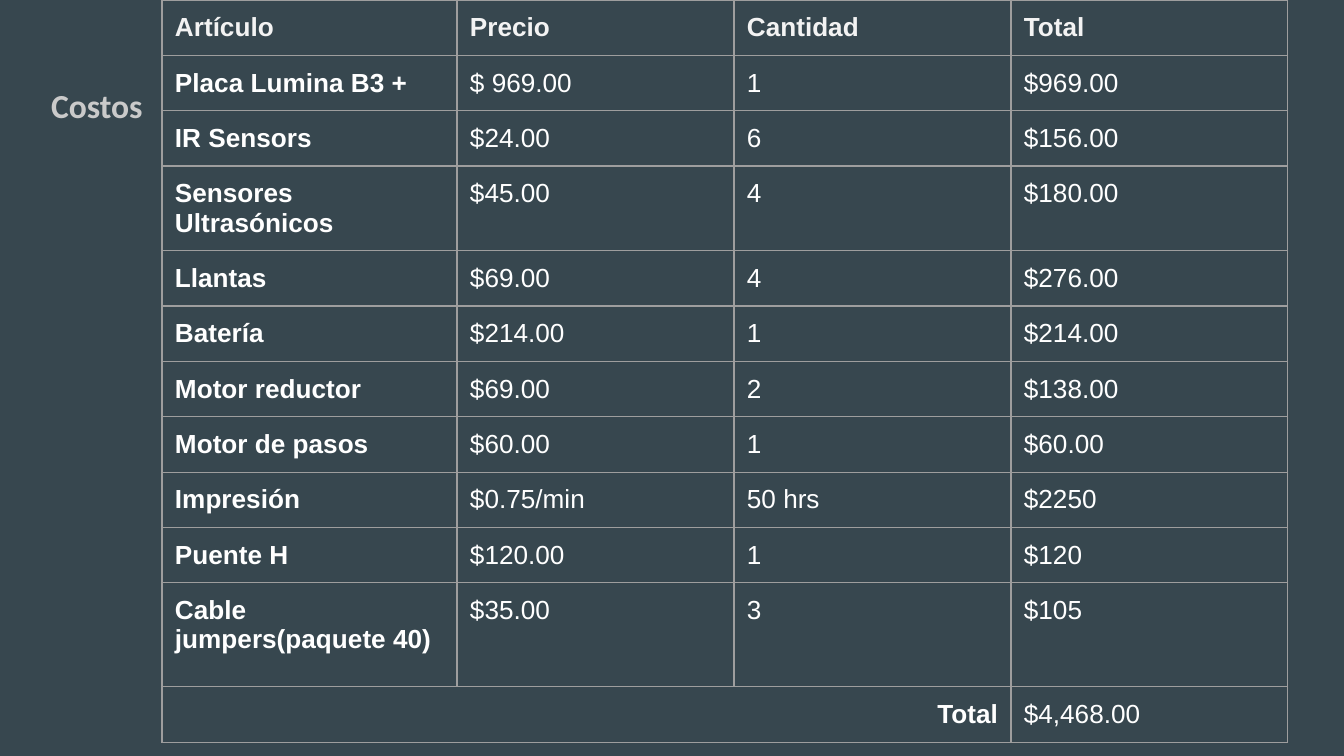
from lxml import etree
from pptx import Presentation
from pptx.dml.color import RGBColor
from pptx.enum.text import MSO_ANCHOR, MSO_AUTO_SIZE, PP_ALIGN
from pptx.oxml.ns import qn
from pptx.util import Emu, Pt

LEFT, RIGHT = PP_ALIGN.LEFT, PP_ALIGN.RIGHT
TOP = MSO_ANCHOR.TOP
NO_AUTOFIT = MSO_AUTO_SIZE.NONE
TITLE_AND_CONTENT = 1
EMU_PER_PX = 914400 / 134.4
INSET = 13
BORDER = "9E9E9E"

HEADER = ("Artículo", "Precio", "Cantidad", "Total")
ITEMS = [
    ("Placa Lumina B3 +", "$ 969.00", "1", "$969.00"),
    ("IR Sensors", "$24.00", "6", "$156.00"),
    ("Sensores Ultrasónicos", "$45.00", "4", "$180.00"),
    ("Llantas", "$69.00", "4", "$276.00"),
    ("Batería", "$214.00", "1", "$214.00"),
    ("Motor reductor", "$69.00", "2", "$138.00"),
    ("Motor de pasos", "$60.00", "1", "$60.00"),
    ("Impresión", "$0.75/min", "50 hrs", "$2250"),
    ("Puente H", "$120.00", "1", "$120"),
    ("Cable jumpers(paquete 40)", "$35.00", "3", "$105"),
]
GRAND_TOTAL = ("Total", "", "", "$4,468.00")
COLUMN_WIDTHS = (295, 277, 277, 277)
ROW_HEIGHTS = (50, 52, 50, 76, 50, 50, 50, 50, 50, 50, 104, 44)


def px(length):
    return Emu(round(length * EMU_PER_PX))


def color(value):
    return RGBColor.from_string(value)


def set_values(target, values):
    for name, value in values.items():
        setattr(target, name, value)


def write_text(para, text, font_color, font_values, para_values):
    set_values(para, para_values)
    span = para.add_run()
    span.text = text
    set_values(span.font, font_values)
    span.font.color.rgb = color(font_color)


def insets():
    sides = ("left", "right", "top", "bottom")
    return {f"margin_{side}": px(INSET) for side in sides}


def add_heading(page, text):
    page.shapes.title.element.getparent().remove(page.shapes.title.element)
    box = page.placeholders[1]
    set_values(box, {"left": px(38), "top": px(66),
                     "width": px(1270), "height": px(624)})
    frame = box.text_frame
    set_values(frame, insets() | {"word_wrap": True, "auto_size": NO_AUTOFIT,
                                  "vertical_anchor": TOP})
    para = frame.paragraphs[0]
    properties = para._p.get_or_add_pPr()
    properties.set("marL", "0")
    properties.set("indent", "0")
    etree.SubElement(properties, qn("a:buNone"))
    write_text(para, text, "CACACA",
               {"name": "Calibri", "size": Pt(18), "bold": True},
               {"alignment": LEFT, "line_spacing": 1.15,
                "space_before": Pt(0), "space_after": Pt(16)})


def add_borders(cell):
    properties = cell._tc.get_or_add_tcPr()
    for side in ("lnL", "lnR", "lnT", "lnB"):
        line = etree.SubElement(properties, qn(f"a:{side}"), w=str(Pt(0.75)))
        fill = etree.SubElement(line, qn("a:solidFill"))
        etree.SubElement(fill, qn("a:srgbClr"), val=BORDER)


def format_cell(cell, text, font_color, bold, alignment):
    add_borders(cell)
    cell.fill.background()
    set_values(cell, insets() | {"vertical_anchor": TOP})
    if text:
        write_text(cell.text_frame.paragraphs[0], text, font_color,
                   {"name": "Arial", "size": Pt(14), "bold": bold},
                   {"alignment": alignment})


def add_cost_table(page):
    rows = [HEADER, *ITEMS, GRAND_TOTAL]
    last = len(rows) - 1
    table = page.shapes.add_table(
        len(rows), len(HEADER), px(162), px(0),
        px(sum(COLUMN_WIDTHS)), px(sum(ROW_HEIGHTS))).table
    set_values(table, {"first_row": False, "horz_banding": False})
    for column, width in zip(table.columns, COLUMN_WIDTHS):
        column.width = px(width)
    for row, height in zip(table.rows, ROW_HEIGHTS):
        row.height = px(height)
    table.cell(last, 0).merge(table.cell(last, 2))
    for row_index, texts in enumerate(rows):
        is_header = row_index == 0
        for column_index, text in enumerate(texts):
            is_label = column_index == 0
            format_cell(table.cell(row_index, column_index), text,
                        "F3F3F3" if is_header else "FFFFFF",
                        is_header or is_label,
                        RIGHT if is_label and row_index == last else LEFT)


def main():
    deck = Presentation()
    set_values(deck, {"slide_width": px(1344), "slide_height": px(756)})
    page = deck.slides.add_slide(deck.slide_layouts[TITLE_AND_CONTENT])
    page.background.fill.solid()
    page.background.fill.fore_color.rgb = color("37474F")
    add_heading(page, "Costos")
    add_cost_table(page)
    deck.save("out.pptx")


if __name__ == "__main__":
    main()
